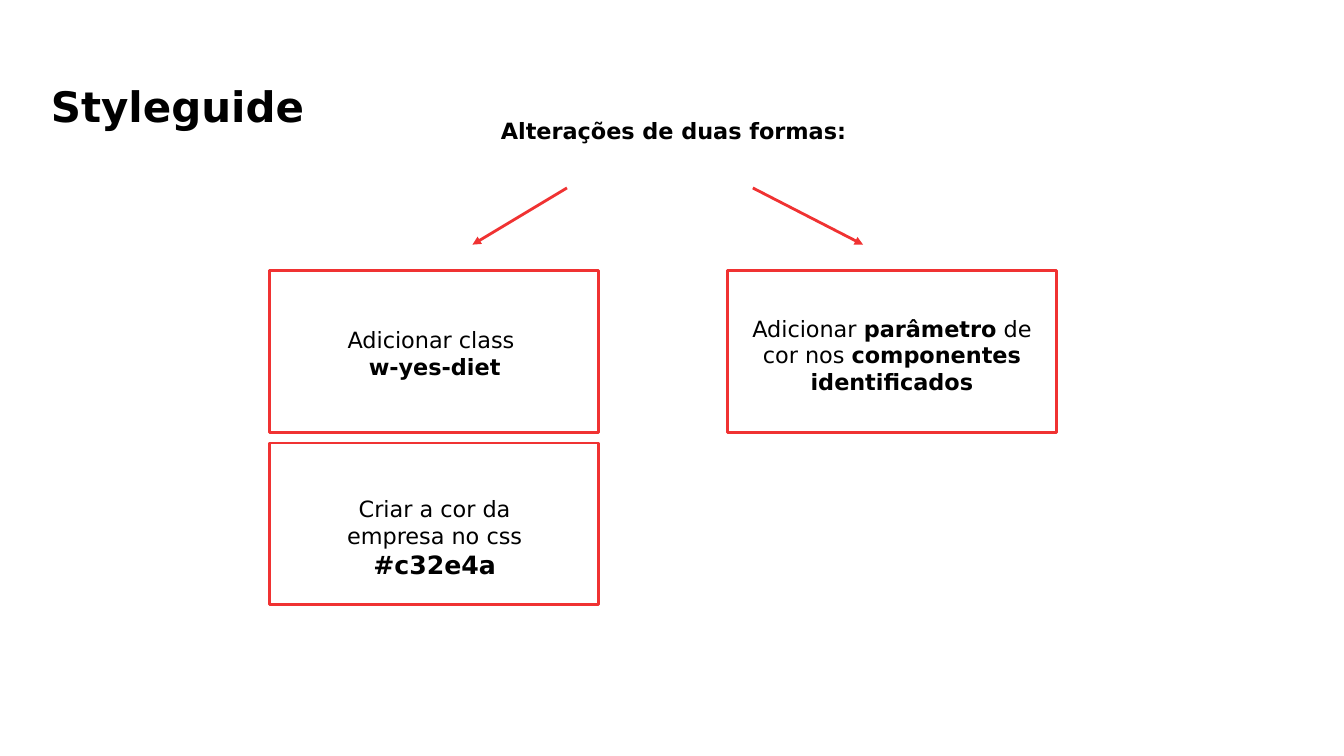
"""Build the Styleguide slide: two ways of applying the changes."""
from lxml.etree import SubElement
from pptx import Presentation
from pptx.dml.color import RGBColor
from pptx.enum.shapes import MSO_CONNECTOR, MSO_SHAPE
from pptx.enum.text import MSO_ANCHOR, PP_ALIGN
from pptx.oxml.ns import qn
from pptx.util import Pt

PX = 9525
FONT = "DejaVu Sans"
BLACK = RGBColor(0x00, 0x00, 0x00)
WHITE = RGBColor(0xFF, 0xFF, 0xFF)
RED = RGBColor(0xF0, 0x32, 0x32)

deck = Presentation()
deck.slide_width, deck.slide_height = 1280 * PX, 720 * PX
page = deck.slides.add_slide(deck.slide_layouts[6])


def add_text(paragraphs, left, top, width, height, align=PP_ALIGN.CENTER, anchor=MSO_ANCHOR.TOP):
    """Add a text box; each paragraph is a list of (text, size, bold) spans."""
    box = page.shapes.add_textbox(left * PX, top * PX, width * PX, height * PX)
    frame = box.text_frame
    frame.word_wrap = True
    frame.vertical_anchor = anchor
    for index, spans in enumerate(paragraphs):
        para = frame.add_paragraph() if index else frame.paragraphs[0]
        para.alignment = align
        for text, size, bold in spans:
            span = para.add_run()
            span.text = text
            span.font.name = FONT
            span.font.size = Pt(size)
            span.font.bold = bold
            span.font.color.rgb = BLACK


add_text([[("Styleguide", 30, True)]], left=39, top=22, width=1212, height=107,
         align=PP_ALIGN.LEFT, anchor=MSO_ANCHOR.BOTTOM)
add_text([[("Alterações de duas formas:", 16, True)]], left=457, top=107, width=369, height=45)

for left, top in [(257, 258), (693, 258), (257, 422)]:
    card = page.shapes.add_shape(MSO_SHAPE.RECTANGLE, left * PX, top * PX, 313 * PX, 154 * PX)
    card.shadow.inherit = False
    card.fill.solid()
    card.fill.fore_color.rgb = WHITE
    card.line.color.rgb = RED
    card.line.width = Pt(2)

add_text([[("Adicionar ", 16, False), ("parâmetro", 16, True), (" de cor nos ", 16, False),
           ("componentes identificados", 16, True)]],
         left=688, top=295, width=323, height=136)
add_text([[("Adicionar class ", 16, False)], [("w-yes-diet", 16, True)]],
         left=313, top=306, width=202, height=82)
add_text([[("Criar a cor da empresa no css", 16, False)], [("#c32e4a", 18, True)]],
         left=313, top=467, width=202, height=97)

for start, end in [(540, 450), (717, 822)]:
    arrow = page.shapes.add_connector(MSO_CONNECTOR.STRAIGHT, start * PX, 179 * PX, end * PX, 233 * PX)
    arrow.line.color.rgb = RED
    arrow.line.width = Pt(2)
    SubElement(arrow.line._get_or_add_ln(), qn("a:tailEnd"), type="triangle")
    SubElement(arrow._element.spPr, qn("a:effectLst"))

deck.save("out.pptx")
